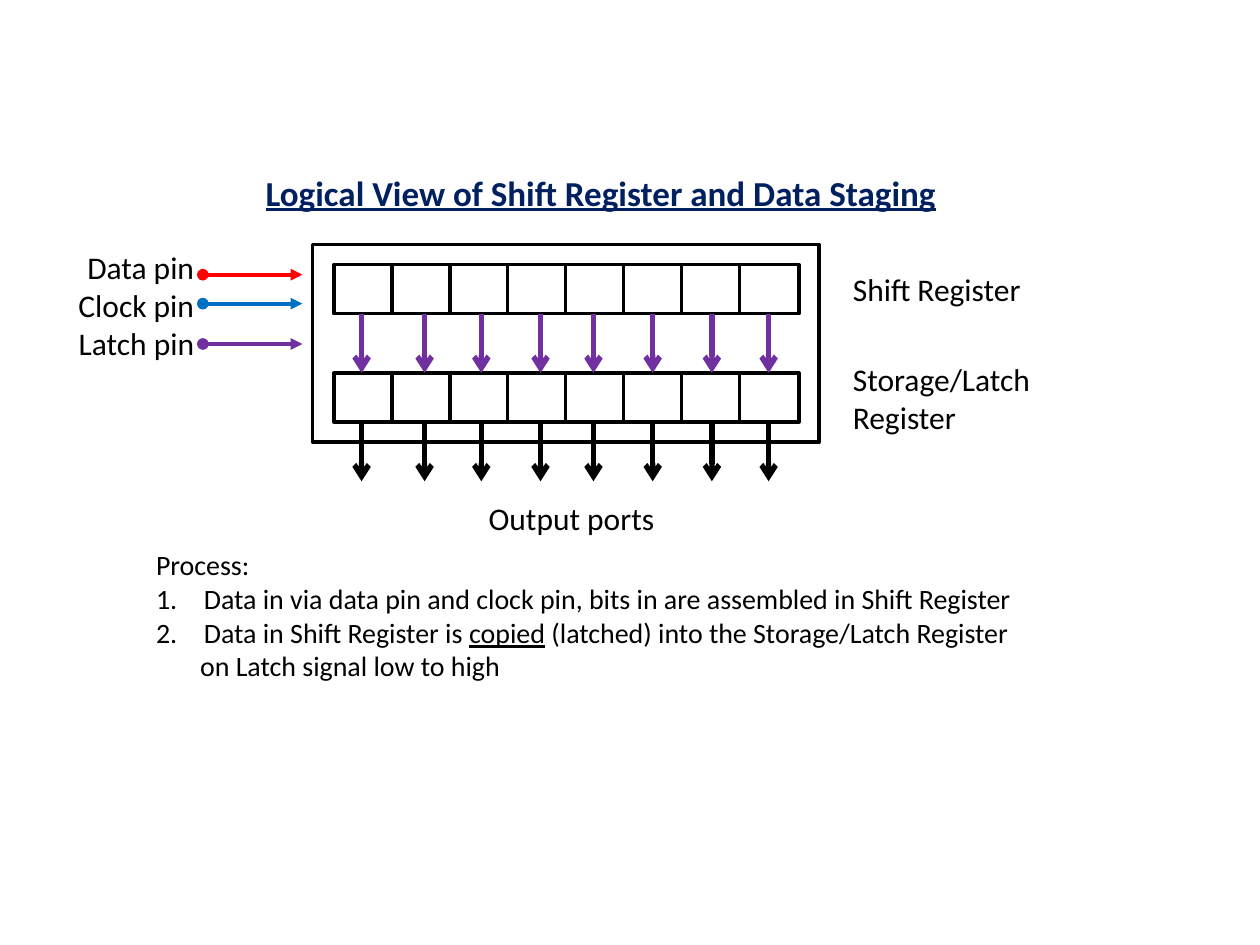
from typing import NamedTuple, Optional

from lxml.etree import SubElement
from pptx import Presentation
from pptx.dml.color import RGBColor
from pptx.enum.shapes import MSO_CONNECTOR, MSO_SHAPE
from pptx.enum.text import MSO_AUTO_SIZE, PP_ALIGN
from pptx.oxml.ns import qn
from pptx.util import Inches, Pt

BLACK = RGBColor(0x00, 0x00, 0x00)
WHITE = RGBColor(0xFF, 0xFF, 0xFF)
NAVY = RGBColor(0x00, 0x20, 0x60)
RED = RGBColor(0xFF, 0x00, 0x00)
BLUE = RGBColor(0x00, 0x70, 0xC0)
PURPLE = RGBColor(0x70, 0x30, 0xA0)

BITS = 8
CELL_LEFT, CELL_PITCH = 2.65, 0.46
CELL_WIDTH, CELL_HEIGHT = 0.47, 0.39
SHIFT_TOP, LATCH_TOP = 2.1, 2.96
BIT_LINES = (2.87, 3.37, 3.82, 4.29, 4.71, 5.18, 5.65, 6.1)


class Run(NamedTuple):
    """A stretch of text, underlined or not."""
    text: str
    underline: bool = False


class Line(NamedTuple):
    """A paragraph with its indents in inches and optional numbering."""
    runs: tuple[Run, ...]
    margin: float = 0
    indent: float = 0
    numbered: bool = False


class Arrow(NamedTuple):
    """An arrow between two points in inches."""
    start: tuple[float, float]
    end: tuple[float, float]
    color: RGBColor
    weight: float = 3
    head: Optional[str] = None
    tail: str = "arrow"


def add_box(shapes, left: float, top: float, width: float, height: float) -> None:
    """Draw a white rectangle with a black outline."""
    box = shapes.add_shape(MSO_SHAPE.RECTANGLE, Inches(left), Inches(top),
                           Inches(width), Inches(height))
    box.shadow.inherit = False
    box.fill.solid()
    box.fill.fore_color.rgb = WHITE
    box.line.color.rgb = BLACK
    box.line.width = Pt(2)


def add_register(shapes, top: float) -> None:
    """Draw one row of bit cells."""
    for bit in range(BITS):
        add_box(shapes, CELL_LEFT + bit * CELL_PITCH, top, CELL_WIDTH, CELL_HEIGHT)


def add_arrow(shapes, arrow: Arrow) -> None:
    """Draw a straight connector with its arrowheads."""
    connector = shapes.add_connector(
        MSO_CONNECTOR.STRAIGHT, *map(Inches, arrow.start + arrow.end))
    connector.line.color.rgb = arrow.color
    connector.line.width = Pt(arrow.weight)
    outline = connector.line._get_or_add_ln()
    if arrow.head:
        SubElement(outline, qn("a:headEnd"), type=arrow.head)
    SubElement(outline, qn("a:tailEnd"), type=arrow.tail)
    SubElement(connector._element.spPr, qn("a:effectLst"))


def add_bit_arrows(shapes, top: float, color: RGBColor) -> None:
    """Draw one downward arrow for each bit."""
    for x in BIT_LINES:
        add_arrow(shapes, Arrow((x, top), (x, top + 0.47), color))


def add_text(shapes, lines: list[Line], left: float, top: float, width: float,
             height: float, *, size: float = 18, color: RGBColor = BLACK,
             bold: bool = False, align: PP_ALIGN = PP_ALIGN.LEFT) -> None:
    """Place a text box holding the given paragraphs."""
    frame = shapes.add_textbox(Inches(left), Inches(top),
                               Inches(width), Inches(height)).text_frame
    frame.word_wrap = False
    frame.auto_size = MSO_AUTO_SIZE.SHAPE_TO_FIT_TEXT
    for index, line in enumerate(lines):
        paragraph = frame.add_paragraph() if index else frame.paragraphs[0]
        paragraph.alignment = align
        properties = paragraph._p.get_or_add_pPr()
        properties.set("marL", str(Inches(line.margin)))
        properties.set("indent", str(Inches(line.indent)))
        if line.numbered:
            SubElement(properties, qn("a:buFont"), typeface="+mj-lt")
            SubElement(properties, qn("a:buAutoNum"), type="arabicPeriod")
        for part in line.runs:
            run = paragraph.add_run()
            run.text = part.text
            run.font.name = "Calibri"
            run.font.size = Pt(size)
            run.font.bold = bold
            run.font.underline = part.underline
            run.font.color.rgb = color


def plain(*texts: str) -> list[Line]:
    """Turn strings into simple paragraphs."""
    return [Line((Run(text),)) for text in texts]


def step(*runs: Run) -> Line:
    """Make a numbered paragraph with a hanging indent."""
    return Line(runs, 0.38, -0.38, True)


def build() -> None:
    """Build and save the slide."""
    deck = Presentation()
    deck.slide_width, deck.slide_height = Inches(10), Inches(7.5)
    shapes = deck.slides.add_slide(deck.slide_layouts[6]).shapes

    add_box(shapes, 2.48, 1.94, 4.02, 1.57)
    for top in (SHIFT_TOP, LATCH_TOP):
        add_register(shapes, top)
    add_bit_arrows(shapes, SHIFT_TOP + CELL_HEIGHT, PURPLE)
    for y, color in ((2.18, RED), (2.41, BLUE), (2.73, PURPLE)):
        add_arrow(shapes, Arrow((1.61, y), (2.4, y), color, 2.25, "oval", "triangle"))
    add_bit_arrows(shapes, LATCH_TOP + CELL_HEIGHT, BLACK)

    add_text(shapes, plain("Data pin", "Clock pin", "Latch pin"),
             0.51, 1.92, 1.13, 1.01, align=PP_ALIGN.RIGHT)
    add_text(shapes, plain("Shift Register"), 6.67, 2.09, 1.55, 0.4)
    add_text(shapes, plain("Storage/Latch", "Register"), 6.67, 2.81, 1.62, 0.71)
    add_text(shapes, plain("Output ports"), 3.78, 3.91, 1.53, 0.4)
    process = [
        *plain("Process:"),
        step(Run("Data in via data pin and clock pin, "
                 "bits in are assembled in Shift Register")),
        step(Run("Data in Shift Register is "), Run("copied", True),
             Run(" (latched) into the Storage/Latch Register")),
        Line((Run("on Latch signal low to high"),), 0.35),
    ]
    add_text(shapes, process, 1.14, 4.3, 7.06, 1.18, size=16)
    title = Line((Run("Logical View of Shift Register and Data Staging", True),))
    add_text(shapes, [title], 2.01, 1.31, 5.58, 0.44, size=20, color=NAVY, bold=True)
    deck.save("out.pptx")


build()
